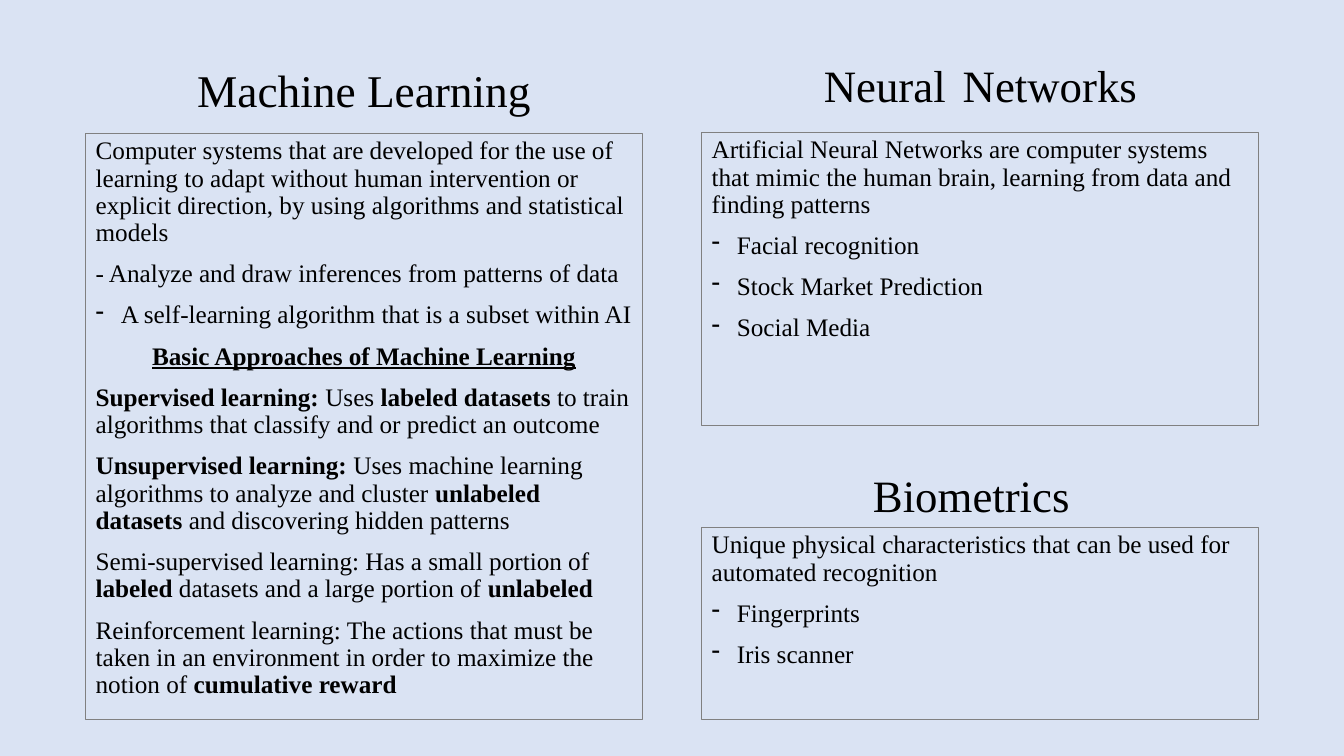
from lxml.etree import SubElement
from pptx import Presentation
from pptx.dml.color import RGBColor
from pptx.enum.shapes import MSO_SHAPE as Shape
from pptx.enum.text import MSO_ANCHOR as Anchor, PP_ALIGN as Align
from pptx.oxml.ns import qn
from pptx.util import Inches, Pt

COLORS = {"background": "DAE3F3", "border": "808080", "text": "000000"}
FONT = "Times New Roman"
PANEL_WIDTH = 5.52
LEFT_X, RIGHT_X = 0.85, 6.96

# Panel wording: (kind, text), with **bold** spans
LEARNING = [
    ("plain", "Computer systems that are developed for the use of learning to adapt "
              "without human intervention or explicit direction, by using algorithms "
              "and statistical models"),
    ("plain", "- Analyze and draw inferences from patterns of data"),
    ("dash", "A self-learning algorithm that is a subset within AI"),
    ("heading", "**Basic Approaches of Machine Learning**"),
    ("plain", "**Supervised learning: **Uses **labeled datasets **to train algorithms "
              "that classify and or predict an outcome"),
    ("plain", "**Unsupervised learning: **Uses machine learning algorithms to analyze "
              "and cluster **unlabeled datasets **and discovering hidden patterns"),
    ("plain", "Semi-supervised learning: Has a small portion of **labeled** datasets "
              "and a large portion of **unlabeled**"),
    ("plain", "Reinforcement learning: The actions that must be taken in an environment "
              "in order to maximize the notion of **cumulative reward**"),
]
NETWORKS = [
    ("plain", "Artificial Neural Networks are computer systems that mimic the human "
              "brain, learning from data and finding patterns"),
    ("dash", "Facial recognition"),
    ("dash", "Stock Market Prediction"),
    ("dash", "Social Media"),
]
BIOMETRICS = [
    ("plain", "Unique physical characteristics that can be used for automated recognition"),
    ("dash", "Fingerprints"),
    ("dash", "Iris scanner"),
]


def color(name):
    return RGBColor.from_string(COLORS[name])


def add_span(para, text, size, **formats):
    span = para.add_run()
    span.text = text
    values = {"name": FONT, "size": Pt(size), **formats}
    for key, value in values.items():
        setattr(span.font, key, value)
    span.font.color.rgb = color("text")


def add_dash(para):
    props = para._p.get_or_add_pPr()
    props.set("marL", str(Inches(0.25)))
    props.set("indent", str(-Inches(0.25)))
    SubElement(props, qn("a:buFontTx"))
    SubElement(props, qn("a:buChar")).set("char", "-")


def add_background(page, width, height):
    back = page.shapes.add_shape(Shape.RECTANGLE, 0, 0, width, height)
    back.shadow.inherit = False
    back.fill.solid()
    back.fill.fore_color.rgb = color("background")
    back.line.fill.background()


def add_title(page, box, spans, anchor=Anchor.TOP, spacing=1.0):
    frame = page.shapes.add_textbox(*map(Inches, box)).text_frame
    frame.word_wrap = True
    frame.vertical_anchor = anchor
    para = frame.paragraphs[0]
    para.alignment = Align.CENTER
    para.line_spacing = spacing
    for text, size in spans:
        add_span(para, text, size)


def add_panel(page, box, lines):
    panel = page.shapes.add_textbox(*map(Inches, box))
    panel.line.color.rgb = color("border")
    panel.line.width = Pt(0.75)
    frame = panel.text_frame
    frame.word_wrap = True
    for index, (kind, text) in enumerate(lines):
        para = frame.add_paragraph() if index else frame.paragraphs[0]
        heading = kind == "heading"
        formats = {"alignment": Align.CENTER if heading else Align.LEFT,
                   "line_spacing": 0.9, "space_before": Pt(10)}
        for key, value in formats.items():
            setattr(para, key, value)
        if kind == "dash":
            add_dash(para)
        # Every second piece between the ** marks is bold
        for order, piece in enumerate(text.split("**")):
            if piece:
                add_span(para, piece, 18, bold=order % 2 == 1, underline=heading)


def main():
    deck = Presentation()
    deck.slide_width, deck.slide_height = Inches(13.33), Inches(7.5)
    page = deck.slides.add_slide(deck.slide_layouts[6])
    add_background(page, deck.slide_width, deck.slide_height)

    # Machine learning
    add_title(page, (1.72, 0.62, 3.78, 0.6), [("Machine Learning", 32.4)],
              Anchor.MIDDLE, 0.9)
    add_panel(page, (LEFT_X, 1.32, PANEL_WIDTH, 5.82), LEARNING)

    # Neural networks
    add_title(page, (6.76, 0.3, 5.93, 0.91),
              [("Neural", 32), (" ", 48), ("Networks", 32)])
    add_panel(page, (RIGHT_X, 1.31, PANEL_WIDTH, 2.91), NETWORKS)

    # Biometrics
    add_title(page, (6.67, 4.59, 5.93, 0.64), [("Biometrics", 32)])
    add_panel(page, (RIGHT_X, 5.23, PANEL_WIDTH, 1.91), BIOMETRICS)

    deck.save("out.pptx")


if __name__ == "__main__":
    main()
